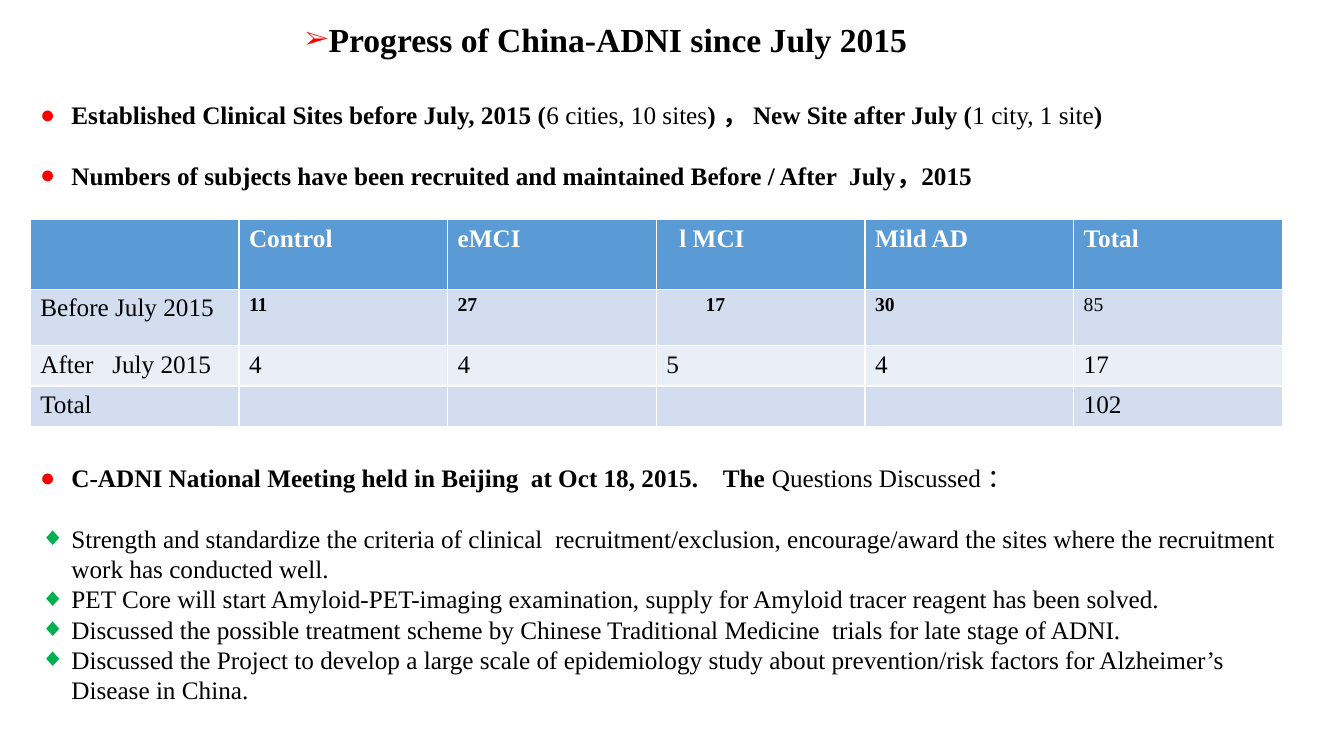
from lxml.etree import SubElement as Sub
from pptx import Presentation
from pptx.dml.color import RGBColor as Rgb
from pptx.oxml.ns import qn
from pptx.util import Inches, Pt

HUE = {"ink": "000000", "white": "FFFFFF", "red": "FF0000", "green": "00B050",
       "head": "5B9BD5", "band": "D2DEEF", "pale": "EAEFF7"}


def write(para, text, size=18, bold=False, color="ink"):
    run = para.add_run()
    run.text = text
    font = run.font
    font.name, font.size, font.bold = "Times New Roman", Pt(size), bold
    font.color.rgb = Rgb.from_string(HUE[color])


def mark(para, char, color, indent=0, scale=100):
    props = para._p.get_or_add_pPr()
    props.set("marL", str(Inches(indent)))
    props.set("indent", str(-Inches(indent)))
    Sub(Sub(props, qn("a:buClr")), qn("a:srgbClr")).set("val", HUE[color])
    Sub(props, qn("a:buSzPct")).set("val", str(scale * 1000))
    Sub(props, qn("a:buFont")).set("typeface", "Times New Roman")
    Sub(props, qn("a:buChar")).set("char", char)


deck = Presentation()
deck.slide_width, deck.slide_height = Inches(13.33), Inches(7.5)
slide = deck.slides.add_slide(deck.slide_layouts[6])

# Bulleted text: mark, space above in lines, then pieces with their weight
LINE = 21.6
points = [
    ("●", 0, [("Established Clinical Sites before July, 2015 (", True),
              ("6 cities, 10 sites", False),
              (") ， New Site after July (", True),
              ("1 city, 1 site", False), (")", True)]),
    ("●", 1, [("Numbers of subjects have been recruited and maintained "
               "Before / After  July，2015", True)]),
    ("●", 9, [("C-ADNI National Meeting held in Beijing  at Oct 18, 2015.    The ", True),
              ("Questions Discussed ：", False)]),
    ("◆", 1, [("Strength and standardize the criteria of clinical  "
               "recruitment/exclusion, encourage/award the sites where the "
               "recruitment work has conducted well.", False)]),
    ("◆", 0, [("PET Core will start Amyloid-PET-imaging examination, supply "
               "for Amyloid tracer reagent has been solved.", False)]),
    ("◆", 0, [("Discussed the possible treatment scheme by Chinese "
               "Traditional Medicine  trials for late stage of ADNI.", False)]),
    ("◆", 0, [("Discussed the Project to develop a large scale of "
               "epidemiology study about prevention/risk factors for "
               "Alzheimer’s Disease in China.", False)]),
]
body = slide.shapes.add_textbox(Inches(0.3), Inches(0.64), Inches(12.68), Inches(6.46))
frame = body.text_frame
frame.word_wrap = True
frame.margin_top = Inches(0.35)
for i, (char, gap, parts) in enumerate(points):
    para = frame.add_paragraph() if i else frame.paragraphs[0]
    para.line_spacing = Pt(LINE)
    para.space_before = Pt(gap * LINE)
    mark(para, char, "red" if char == "●" else "green", indent=0.31)
    for text, bold in parts:
        write(para, text, bold=bold)

# Title
title = slide.shapes.add_textbox(Inches(2.93), Inches(0.14), Inches(6.2), Inches(0.5))
title.text_frame.word_wrap = False
para = title.text_frame.paragraphs[0]
mark(para, "➢", "red", scale=75)
write(para, "Progress of China-ADNI since July 2015", size=24, bold=True)

# Table of subjects
rows = [
    ("head", 0.69, ["", "Control", "eMCI", "l MCI", "Mild AD", "Total"]),
    ("band", 0.56, ["Before July 2015", "11", "27", "17", "30", "85"]),
    ("pale", 0.4, ["After   July 2015", "4", "4", "5", "4", "17"]),
    ("band", 0.4, ["Total", "", "", "", "", "102"]),
]
table = slide.shapes.add_table(len(rows), 6, Inches(0.3), Inches(2.18),
                               Inches(12.43), Inches(2.05)).table
for col in table.columns:
    col.width = Inches(2.07)
for r, (fill, high, texts) in enumerate(rows):
    table.rows[r].height = Inches(high)
    for c, text in enumerate(texts):
        cell = table.cell(r, c)
        cell.fill.solid()
        cell.fill.fore_color.rgb = Rgb.from_string(HUE[fill])
        if text:
            write(cell.text_frame.paragraphs[0], text,
                  size=14 if r == 1 and c else 18,
                  bold=r == 0 or (r == 1 and 0 < c < 5),
                  color="ink" if r else "white")
        else:
            cell.text_frame.paragraphs[0].font.size = Pt(18)

# The l MCI column is set in from the left
table.cell(0, 3).margin_left = Inches(0.23)
table.cell(1, 3).margin_left = Inches(0.49)

deck.save("out.pptx")
